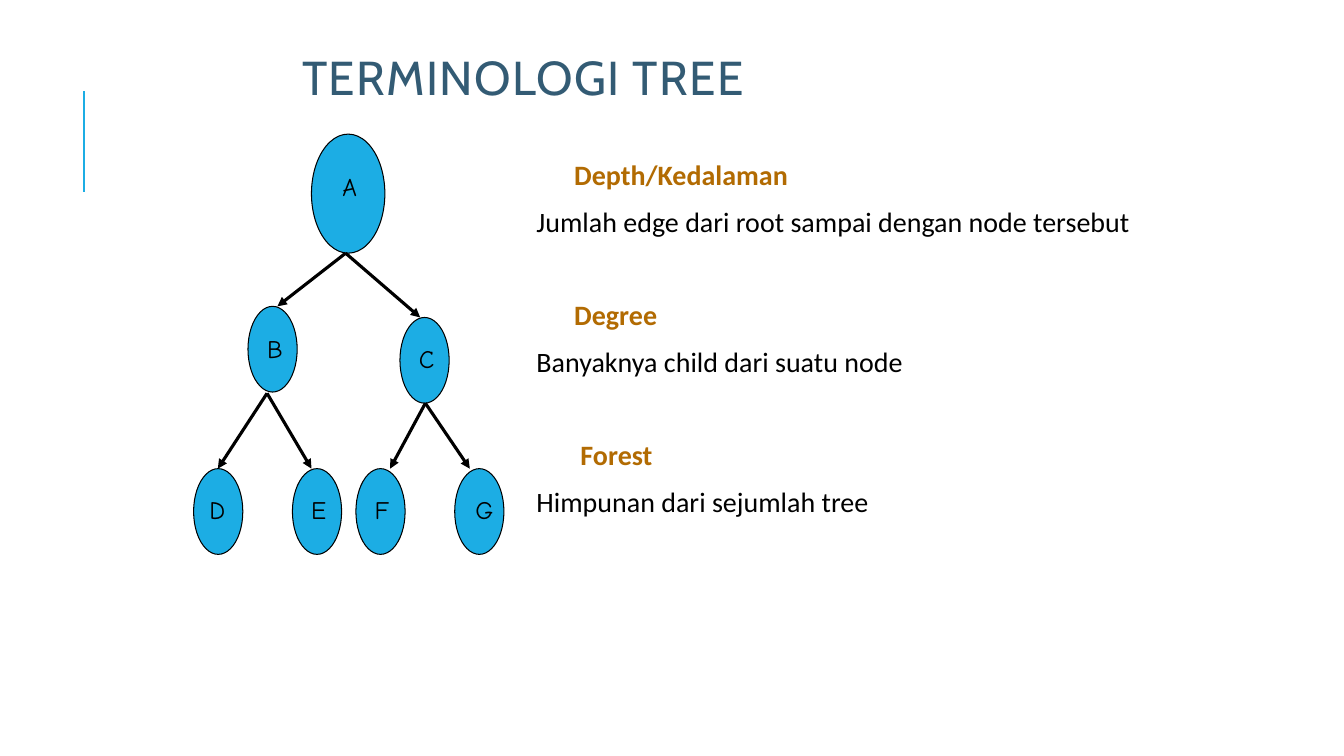
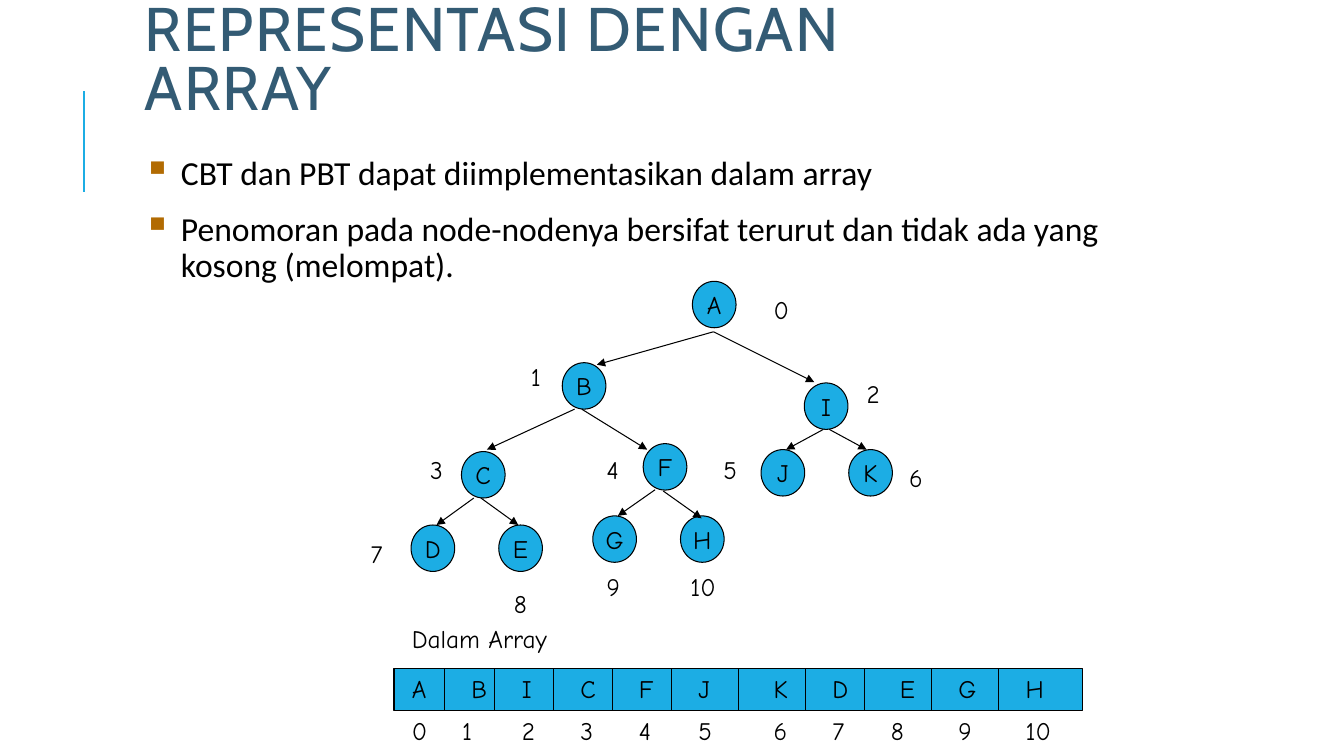
"""Build two slides on tree terminology and the array form of a binary tree."""
from dataclasses import dataclass

from lxml.etree import SubElement
from pptx import Presentation
from pptx.dml.color import RGBColor as RGB
from pptx.enum.shapes import MSO_CONNECTOR as CONN, MSO_SHAPE as SHAPE
from pptx.enum.text import MSO_ANCHOR as ANCHOR, MSO_AUTO_SIZE as FIT, PP_ALIGN as ALIGN
from pptx.oxml.ns import qn
from pptx.util import Cm, Pt


@dataclass(frozen=True)
class Theme:
    blue: RGB = RGB(0x1C, 0xAD, 0xE4)
    navy: RGB = RGB(0x33, 0x5B, 0x74)
    brown: RGB = RGB(0xB2, 0x6B, 0x02)
    black: RGB = RGB(0, 0, 0)
    title_font: str = "Cabin"
    body_font: str = "Calibri"
    node_font: str = "Comic Neue"
    title: int = 34
    big_title: int = 44
    term: int = 20
    bullet: int = 24
    node: int = 18
    thin: float = 0.75
    accent: float = 1.5
    thick: float = 2.25


T = Theme()
NODE_FONT = {"name": T.node_font, "size": Pt(T.node)}
INSET = 0.13
HANG = 0.95
INSETS = {f"margin_{side}": Cm(INSET) for side in ("left", "top", "right", "bottom")}
LABEL_H = 1.02

TERMS = [
    ("Depth/Kedalaman", "Jumlah edge dari root sampai dengan node tersebut", HANG),
    ("Degree", "Banyaknya child dari suatu node", HANG),
    ("Forest", "Himpunan dari sejumlah tree", 1.11),
]
TERM_NODES = [
    ("A", (7.85, 3.38, 1.85, 3.0), (8.38, 4.19)),
    ("B", (6.25, 7.72, 1.24, 2.16), (6.48, 8.28)),
    ("C", (10.08, 8.0, 1.24, 2.16), (10.31, 8.53)),
    ("D", (4.88, 11.81, 1.24, 2.16), (5.03, 12.34)),
    ("E", (7.37, 11.81, 1.24, 2.16), (7.59, 12.34)),
    ("F", (8.97, 11.81, 1.24, 2.16), (9.19, 12.34)),
    ("G", (11.46, 11.81, 1.24, 2.16), (11.73, 12.34)),
]
TERM_EDGES = [
    (8.71, 6.38, 6.99, 7.72), (8.71, 6.38, 10.59, 8.0),
    (6.73, 9.91, 5.49, 11.81), (6.73, 9.91, 7.85, 11.81),
    (10.72, 10.16, 9.83, 11.81), (10.72, 10.16, 11.84, 11.81),
]

BULLETS = [
    "CBT dan PBT dapat diimplementasikan dalam array",
    "Penomoran pada node-nodenya bersifat terurut dan tidak ada yang kosong (melompat).",
]
NODE_W, NODE_H = 1.1, 1.17
ARRAY_NODES = [
    ("A", (17.45, 7.09), (19.25, 7.29)),
    ("B", (14.17, 9.14), (13.13, 8.99)),
    ("I", (20.27, 9.65), (21.59, 9.42)),
    ("C", (11.63, 11.38), (10.59, 11.33)),
    ("F", (16.21, 11.18), (15.04, 11.33)),
    ("J", (19.18, 11.33), (17.98, 11.33)),
    ("K", (21.39, 11.33), (22.66, 11.53)),
    ("D", (10.36, 13.23), (9.09, 13.44)),
    ("E", (12.57, 13.23), (12.7, 14.71)),
    ("G", (14.94, 13.0), (15.04, 14.27)),
    ("H", (17.15, 13.0), (17.15, 14.27)),
]
ARRAY_EDGES = [
    (17.98, 8.36, 15.04, 9.19), (17.98, 8.36, 20.52, 9.63),
    (14.48, 10.31, 12.27, 11.33), (14.66, 10.31, 16.31, 11.33),
    (20.75, 10.82, 19.81, 11.33), (20.9, 10.82, 21.84, 11.33),
    (11.94, 12.55, 11.0, 13.23), (12.12, 12.55, 13.06, 13.23),
    (16.51, 12.34, 15.57, 13.0), (16.71, 12.37, 17.68, 13.06),
]
ARRAY_BOX = (9.93, 16.84, 17.35, 1.07)
ARRAY_CELLS = [
    ("A", 9.93, 10.13, 10.13), ("B", 11.2, 11.63, 11.4), ("I", 12.47, 12.9, 12.9),
    ("C", 13.94, 14.38, 14.38), ("F", 15.44, 15.85, 15.85), ("J", 16.92, 17.35, 17.35),
    ("K", 18.62, 19.25, 19.25), ("D", 20.29, 20.73, 20.73), ("E", 21.79, 22.43, 22.2),
    ("G", 23.47, 23.9, 23.9), ("H", 25.17, 25.6, 25.6),
]


def apply(obj, values):
    for name, value in values.items():
        setattr(obj, name, value)


def add_run(p, text, color=T.black, **font):
    r = p.add_run()
    r.text = text
    apply(r.font, font)
    r.font.color.rgb = color
    return r


def add_text(shapes, box, **frame):
    tf = shapes.add_textbox(*map(Cm, box)).text_frame
    apply(tf, {"word_wrap": True, **frame})
    return tf


def add_label(shapes, text, x, y, w=None):
    w = w or (0.84 if len(text) == 1 else 1.47)
    tf = add_text(shapes, (x, y, w, LABEL_H), auto_size=FIT.SHAPE_TO_FIT_TEXT)
    add_run(tf.paragraphs[0], text, **NODE_FONT)


def add_box(shapes, kind, box, text=""):
    s = shapes.add_shape(kind, *map(Cm, box))
    s.shadow.inherit = False
    s.fill.solid()
    s.fill.fore_color.rgb = T.blue
    s.line.color.rgb = T.black
    s.line.width = Pt(T.thin)
    if text:
        apply(s.text_frame, {"word_wrap": False, "vertical_anchor": ANCHOR.MIDDLE})
        p = s.text_frame.paragraphs[0]
        p.alignment = ALIGN.CENTER
        add_run(p, text, **NODE_FONT)


def add_line(shapes, ends, width=T.thin, color=T.black, arrow=False):
    s = shapes.add_connector(CONN.STRAIGHT, *map(Cm, ends))
    s.line.color.rgb = color
    s.line.width = Pt(width)
    sp = s._element.spPr
    if arrow:
        SubElement(sp.find(qn("a:ln")), qn("a:tailEnd"), type="triangle")
    SubElement(sp, qn("a:effectLst"))


def next_paragraph(tf, margin, indent, **spacing):
    p = tf.paragraphs[0] if not tf.paragraphs[0].runs else tf.add_paragraph()
    apply(p, {"space_before": Pt(12), "space_after": Pt(2), **spacing})
    pr = p._p.get_or_add_pPr()
    pr.set("marL", str(Cm(margin)))
    pr.set("indent", str(Cm(indent)))
    return p


def add_bullet(p):
    pr = p._p.get_or_add_pPr()
    SubElement(SubElement(pr, qn("a:buClr")), qn("a:srgbClr"), val=str(T.brown))
    SubElement(pr, qn("a:buSzPct"), val="115000")
    SubElement(pr, qn("a:buChar"), char="▪")


def new_slide(prs, title, box, size):
    shapes = prs.slides.add_slide(prs.slide_layouts[6]).shapes
    add_line(shapes, (2.11, 4.83, 2.11, 2.29), T.accent, T.blue)
    p = add_text(shapes, box, vertical_anchor=ANCHOR.BOTTOM).paragraphs[0]
    p.line_spacing = 0.8
    r = add_run(p, title, T.navy, name=T.title_font, size=Pt(size))
    r.font._element.set("spc", "100")
    return shapes


def terminology(prs):
    shapes = new_slide(prs, "TERMINOLOGI TREE", (7.37, 0.64, 13.77, 2.11), T.title)
    tf = add_text(shapes, (13.39, 4.01, 17.15, 10.16), **INSETS)
    font = {"name": T.body_font, "size": Pt(T.term)}
    for term, meaning, margin in TERMS:
        p = next_paragraph(tf, margin, 0, line_spacing=0.8)
        add_run(p, term, T.brown, bold=True, **font)
        p = next_paragraph(tf, HANG, -HANG, line_spacing=0.8, space_after=Pt(35.5))
        add_run(p, meaning, **font)
    tree = shapes.add_group_shape().shapes
    for _, box, _ in TERM_NODES:
        add_box(tree, SHAPE.OVAL, box)
    for ends in TERM_EDGES:
        add_line(tree, ends, T.thick, arrow=True)
    for name, _, spot in TERM_NODES:
        add_label(tree, name, *spot)


def array_form(prs):
    shapes = new_slide(prs, "REPRESENTASI DENGAN ARRAY", (3.4, 1.68, 18.49, 1.52), T.big_title)
    tf = add_text(shapes, (3.48, 3.81, 26.04, 3.45), **INSETS)
    for text in BULLETS:
        p = next_paragraph(tf, HANG, -HANG, line_spacing=0.9)
        add_bullet(p)
        add_run(p, text, name=T.body_font, size=Pt(T.bullet))
    tree = shapes.add_group_shape().shapes
    for i, (name, spot, number_spot) in enumerate(ARRAY_NODES):
        add_box(tree, SHAPE.OVAL, (*spot, NODE_W, NODE_H), name)
        add_label(tree, str(i), *number_spot)
    for ends in ARRAY_EDGES:
        add_line(tree, ends, arrow=True)
    array = shapes.add_group_shape().shapes
    add_box(array, SHAPE.RECTANGLE, ARRAY_BOX)
    add_label(array, "Dalam Array", 10.13, 15.57, 5.08)
    top, bottom = ARRAY_BOX[1], ARRAY_BOX[1] + ARRAY_BOX[3]
    for i, (name, left, name_x, index_x) in enumerate(ARRAY_CELLS):
        if i:
            add_line(array, (left, top, left, bottom))
        add_label(array, name, name_x, top)
        add_label(array, str(i), index_x, bottom)


def main():
    prs = Presentation()
    apply(prs, {"slide_width": Cm(33.87), "slide_height": Cm(19.05)})
    terminology(prs)
    array_form(prs)
    prs.save("out.pptx")


if __name__ == "__main__":
    main()
